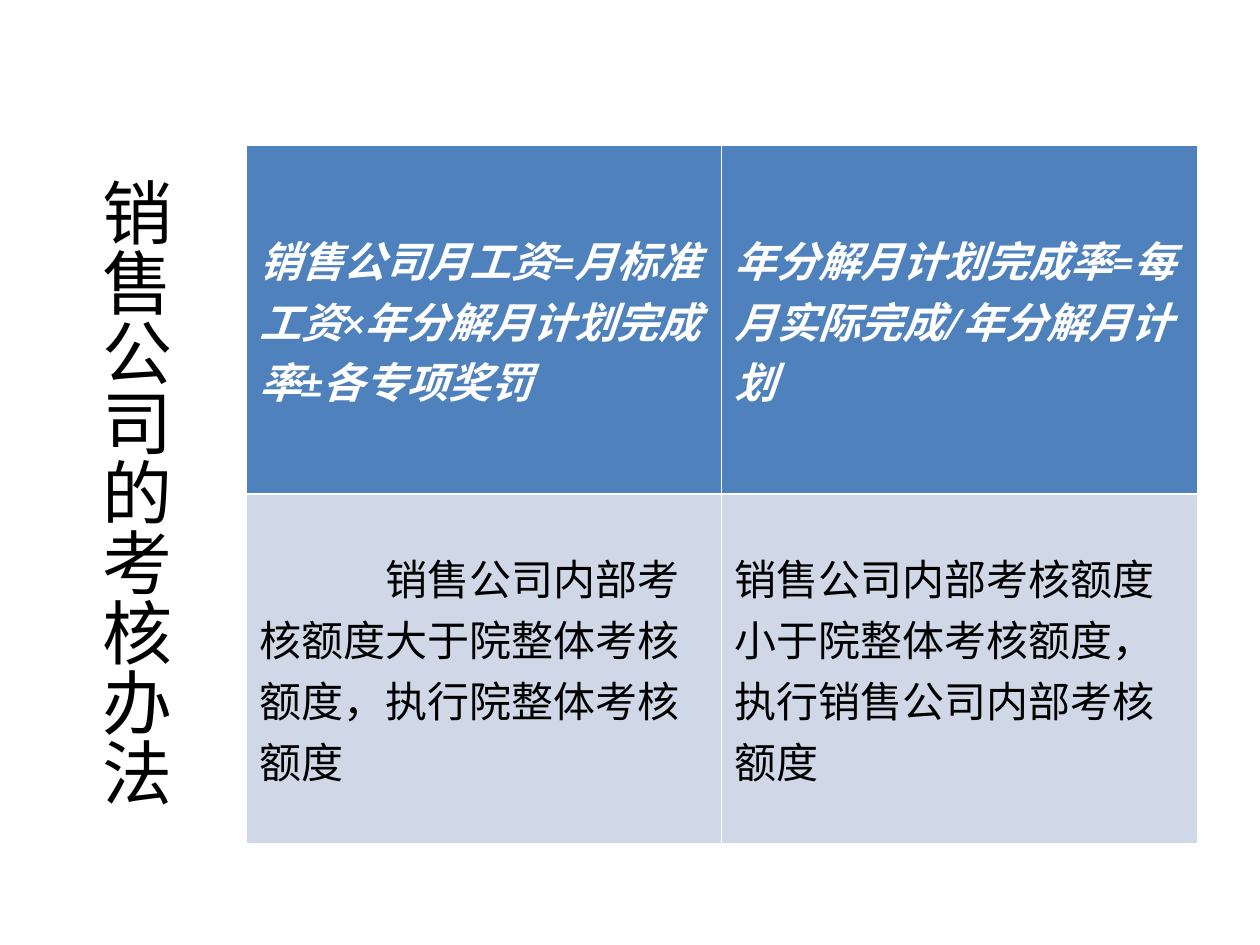
from lxml.etree import SubElement
from pptx import Presentation
from pptx.dml.color import RGBColor
from pptx.enum.text import MSO_ANCHOR, MSO_AUTO_SIZE, PP_ALIGN
from pptx.oxml import parse_xml
from pptx.oxml.ns import nsdecls, qn
from pptx.util import Pt


def color(value):
    return RGBColor.from_string(value)


class SlideBuilder:
    title_font = "Arial"
    table_font = "Calibri"
    black = "000000"
    white = "FFFFFF"
    header_fill = "4F81BD"
    body_fill = "D0D8E8"
    thin = 0.45
    thick = 1.47

    def __init__(self, slide):
        self.slide = slide

    def add_span(self, para, text, size, font, ink, emphasis=False):
        span = para.add_run()
        span.text = text
        span.font.size = Pt(size)
        span.font.name = font
        span.font.bold = emphasis
        span.font.italic = emphasis
        span.font.color.rgb = color(ink)

    def add_vertical_title(self, text, left, top, width, height):
        title = self.slide.shapes.title
        title.left, title.top = Pt(left), Pt(top)
        title.width, title.height = Pt(width), Pt(height)
        frame = title.text_frame
        frame.word_wrap = True
        frame.auto_size = MSO_AUTO_SIZE.SHAPE_TO_FIT_TEXT
        frame.vertical_anchor = MSO_ANCHOR.TOP
        frame.margin_left = frame.margin_right = Pt(3.6)
        frame.margin_top = frame.margin_bottom = Pt(7.2)
        frame._txBody.bodyPr.set("vert", "eaVert")
        para = frame.paragraphs[0]
        para.alignment = PP_ALIGN.LEFT
        self.add_span(para, text, 40, self.title_font, self.black)

    def add_tab_stop(self, para, position):
        stops = SubElement(para._p.get_or_add_pPr(), qn("a:tabLst"))
        SubElement(stops, qn("a:tab"), pos=str(Pt(position)), algn="l")

    def set_borders(self, cell, top, bottom):
        widths = {"L": self.thin, "R": self.thin, "T": top, "B": bottom}
        properties = cell._tc.get_or_add_tcPr()
        for index, (side, width) in enumerate(widths.items()):
            properties.insert(index, parse_xml(
                f'<a:ln{side} {nsdecls("a")} w="{Pt(width)}"><a:solidFill>'
                f'<a:srgbClr val="{self.white}"/></a:solidFill></a:ln{side}>'))

    def fill_cell(self, cell, spans, is_header):
        cell.fill.solid()
        cell.fill.fore_color.rgb = color(self.header_fill if is_header else self.body_fill)
        cell.vertical_anchor = MSO_ANCHOR.MIDDLE
        if is_header:
            self.set_borders(cell, self.thin, self.thick)
        else:
            self.set_borders(cell, self.thick, self.thin)
        para = cell.text_frame.paragraphs[0]
        para.alignment = PP_ALIGN.LEFT
        if len(spans) > 1:
            self.add_tab_stop(para, 72)
        ink = self.white if is_header else self.black
        for text, size in spans:
            self.add_span(para, text, size, self.table_font, ink, is_header)

    def add_rules_table(self, rows, left, top, width, height):
        frame = self.slide.shapes.add_table(
            len(rows), len(rows[0]), Pt(left), Pt(top), Pt(width), Pt(height))
        table = frame.table
        for row_index, row in enumerate(rows):
            for column_index, spans in enumerate(row):
                self.fill_cell(table.cell(row_index, column_index), spans, row_index == 0)


def main():
    deck = Presentation()
    deck.slide_width, deck.slide_height = Pt(720), Pt(540)
    page = SlideBuilder(deck.slides.add_slide(deck.slide_layouts[5]))
    rows = [
        [[("销售公司月工资=月标准工资×年分解月计划完成率±各专项奖罚", 24)],
         [("年分解月计划完成率=每月实际完成/年分解月计划", 24)]],
        [[("\t", 18), ("销售公司内部考核额度大于院整体考核额度，执行院整体考核额度", 24)],
         [("销售公司内部考核额度小于院整体考核额度，执行销售公司内部考核额度", 24)]],
    ]
    page.add_rules_table(rows, 141, 83, 543, 399)
    page.add_vertical_title("销售公司的考核办法", 42.5, 94.5, 62, 380)
    deck.save("out.pptx")


if __name__ == "__main__":
    main()
